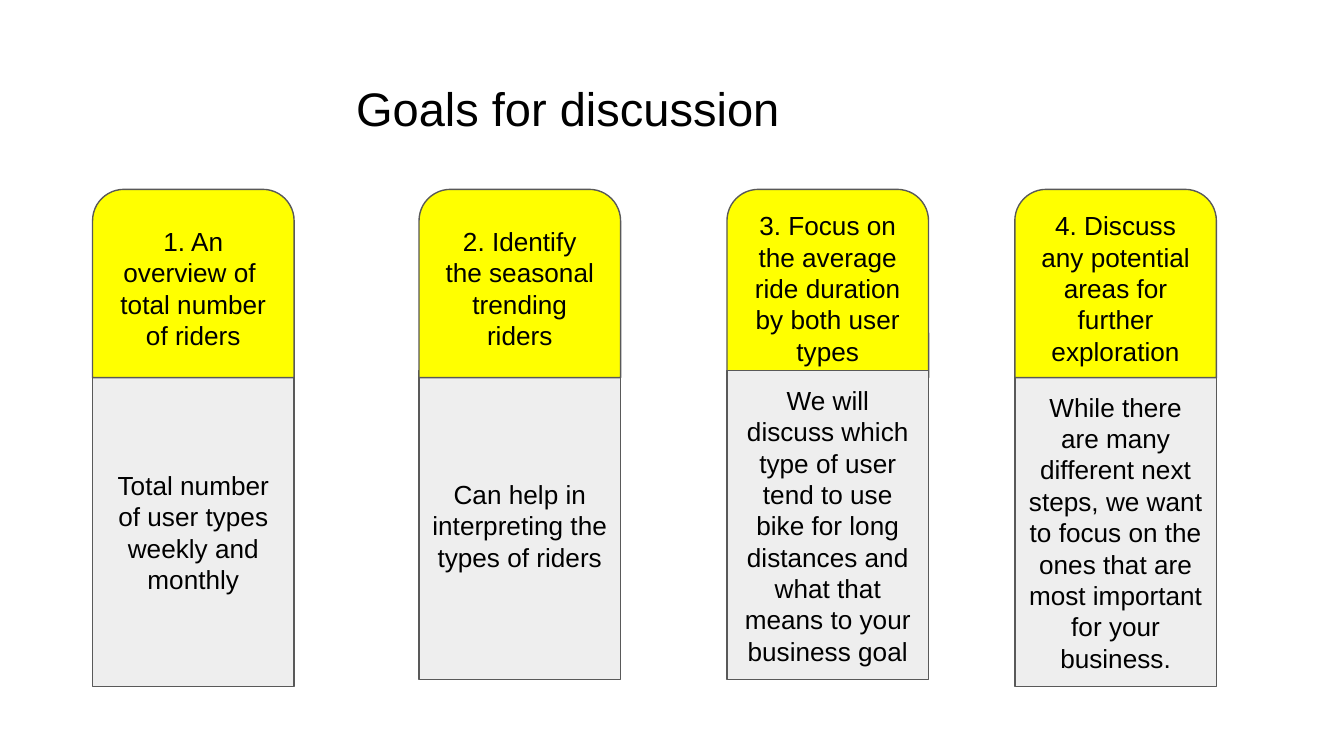
from pptx import Presentation
from pptx.dml.color import RGBColor
from pptx.enum.shapes import MSO_SHAPE
from pptx.enum.text import MSO_ANCHOR, MSO_AUTO_SIZE, PP_ALIGN
from pptx.util import Cm, Pt

ROUND = MSO_SHAPE.ROUND_2_SAME_RECTANGLE
RECT = MSO_SHAPE.RECTANGLE
MIDDLE = MSO_ANCHOR.MIDDLE
NONE = MSO_AUTO_SIZE.NONE
LEFT, CENTER = PP_ALIGN.LEFT, PP_ALIGN.CENTER

FONT = "Arial"
COLORS = {"head": "FFFF00", "body": "EEEEEE", "line": "595959", "text": "000000"}
TITLE = "Goals for discussion"
GOALS = [
    {"left": 1.75, "low": 7.14, "order": ("body", "head"),
     "head": ["1. An overview of ", "total number", "of riders"],
     "body": ["Total number of user types weekly and monthly"]},
    {"left": 7.92, "low": 7.01, "order": ("body", "head"),
     "head": ["2. Identify the seasonal trending riders"],
     "body": ["Can help in interpreting the types of riders"]},
    {"left": 13.74, "low": 7.01, "order": ("head", "body"),
     "head": ["3. Focus on the average ride duration by both user types"],
     "body": ["We will discuss which type of user tend to use bike for long "
              "distances and what that means to your business goal"]},
    {"left": 19.18, "low": 7.14, "order": ("body", "head"),
     "head": ["4. Discuss any potential areas for further exploration"],
     "body": ["While there are many different next steps, we want to focus on "
              "the ones that are most important for your business."]},
]
TOP, WIDTH, PAD = 3.58, 3.81, 0.25
FORMS = {"head": (ROUND, 3.56), "body": (RECT, 5.84)}


def color(name):
    return RGBColor.from_string(COLORS[name])


def write(frame, lines, size, align, left=PAD):
    frame.word_wrap = True
    frame.auto_size = NONE
    frame.vertical_anchor = MIDDLE
    frame.margin_left = Cm(left)
    frame.margin_right = frame.margin_top = frame.margin_bottom = Cm(PAD)
    for i, line in enumerate(lines):
        para = frame.add_paragraph() if i else frame.paragraphs[0]
        para.alignment = align
        run = para.add_run()
        run.text = line
        run.font.name = FONT
        run.font.size = Pt(size)
        run.font.color.rgb = color("text")


def add_part(slide, goal, part):
    form, height = FORMS[part]
    top = TOP if part == "head" else goal["low"]
    shape = slide.shapes.add_shape(
        form, Cm(goal["left"]), Cm(top), Cm(WIDTH), Cm(height))
    shape.shadow.inherit = False
    shape.fill.solid()
    shape.fill.fore_color.rgb = color(part)
    shape.line.color.rgb = color("line")
    shape.line.width = Pt(0.75)
    write(shape.text_frame, goal[part], 14, CENTER)


def main():
    deck = Presentation()
    deck.slide_width, deck.slide_height = Cm(25.4), Cm(14.29)
    slide = deck.slides.add_slide(deck.slide_layouts[5])
    title = slide.shapes.title
    title.left, title.top = Cm(0.86), Cm(1.24)
    title.width, title.height = Cm(23.67), Cm(1.6)
    write(title.text_frame, [TITLE], 25.2, LEFT, 5.87)
    for goal in GOALS:
        for part in goal["order"]:
            add_part(slide, goal, part)
    deck.save("out.pptx")


if __name__ == "__main__":
    main()
